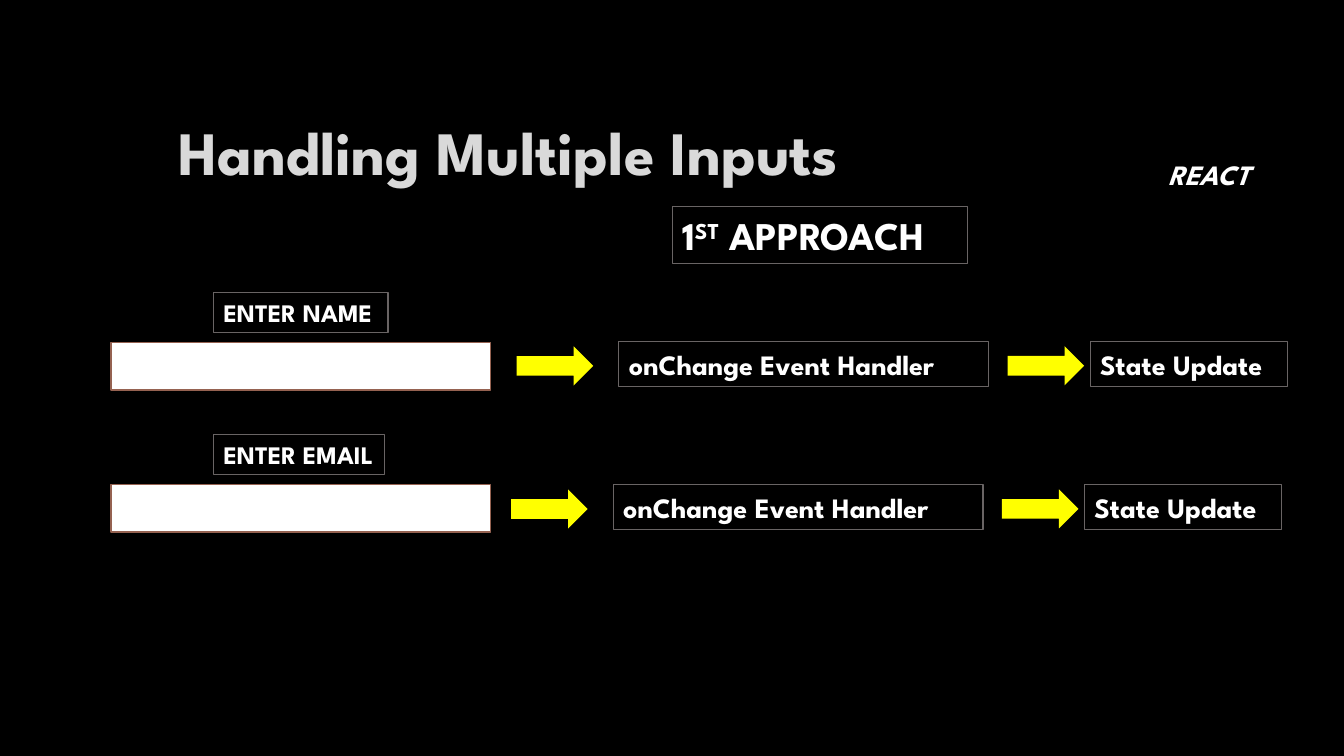
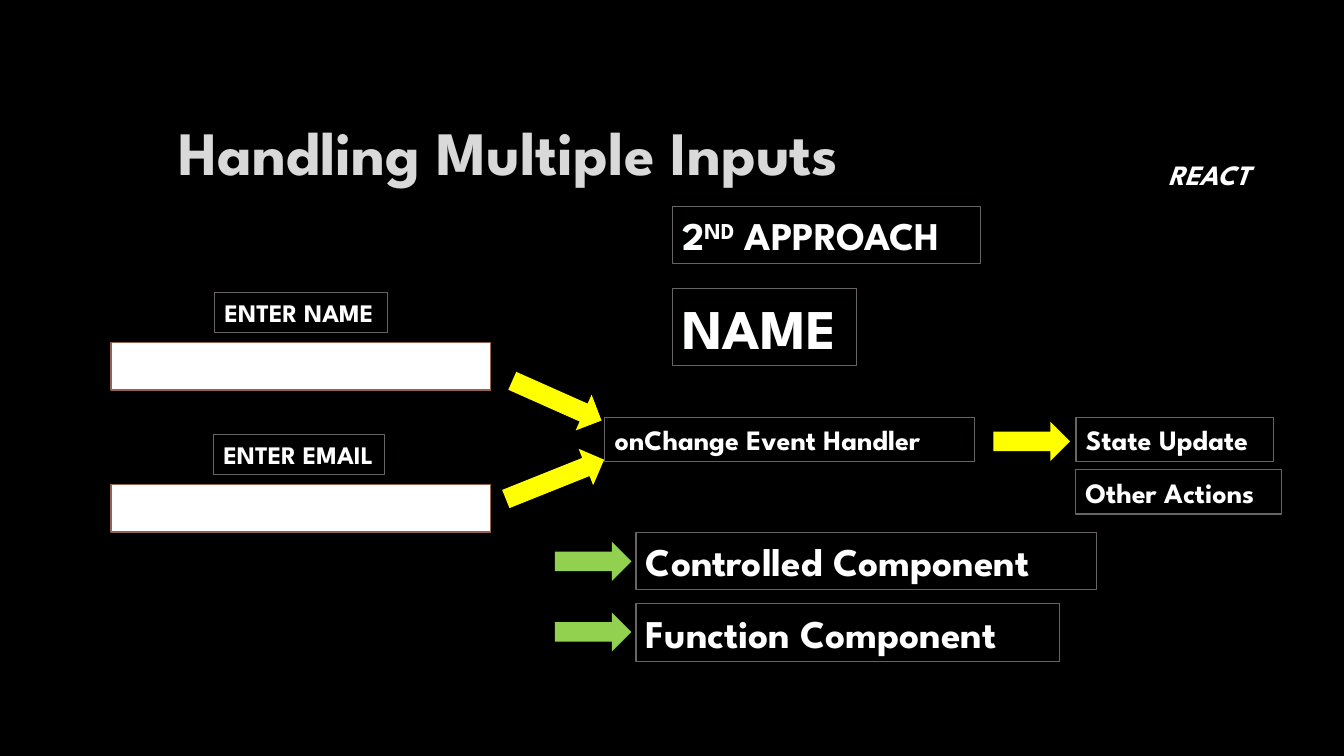
from dataclasses import dataclass

from pptx import Presentation
from pptx.dml.color import RGBColor
from pptx.enum.shapes import MSO_SHAPE
from pptx.enum.text import MSO_ANCHOR, MSO_AUTO_SIZE, PP_ALIGN
from pptx.oxml.ns import qn
from pptx.util import Pt

WHITE, BLACK, GREY = "FFFFFF", "000000", "D9D9D9"
YELLOW, GREEN = "FFFF00", "92D050"
EDGE, RIM = "696464", "956251"

FONT = {"name": "League Spartan", "bold": True}
FRAME = {"auto_size": MSO_AUTO_SIZE.NONE, "word_wrap": True}
HEIGHT = {18: 28.8, 20: 31.7, 28: 41, 40: 55.4}  # box height by text size
FIELDS = (244.8, 346.3)  # tops of the two input fields


@dataclass
class Tag:
    """An outlined label; a bar in the text marks off a superscript."""
    text: str
    left: float
    top: float
    width: float
    size: int = 20


@dataclass
class Arrow:
    """A block arrow, placed by its centre."""
    x: float
    y: float
    length: float = 54.7
    turn: float = 0
    color: str = YELLOW


@dataclass
class Chain:
    """Handler box, arrow and state box, placed by the handler's corner."""
    left: float
    top: float


@dataclass
class Page:
    chains: list[Chain]
    tags: list[Tag]
    arrows: list[Arrow]


def paint(fmt, color: str) -> None:
    """Colour a fill or a font."""
    if hasattr(fmt, "solid"):
        fmt.solid()
        fmt.fore_color.rgb = RGBColor.from_string(color)
    else:
        fmt.color.rgb = RGBColor.from_string(color)


def apply(item, values: dict) -> None:
    for key, value in values.items():
        setattr(item, key, value)


def write(shape, text: str, size: int, color: str = WHITE,
          anchor=MSO_ANCHOR.MIDDLE, **extra) -> None:
    frame = shape.text_frame
    apply(frame, FRAME | {"vertical_anchor": anchor, "margin_right": 0})
    line = frame.paragraphs[0]
    line.alignment = PP_ALIGN.LEFT
    for part in text.split("|"):
        run = line.add_run()
        run.text = part
        apply(run.font, FONT | {"size": Pt(size)} | extra)
        paint(run.font, color)
    # The middle of three parts is raised
    marks = list(shape.element.iter(qn("a:rPr")))
    if len(marks) == 3:
        marks[1].set("baseline", "30000")


def block(slide, kind, left: float, top: float, width: float, height: float,
          fill: str = "", line: str = "", weight: float = 0.75):
    shape = slide.shapes.add_shape(kind, Pt(left), Pt(top), Pt(width), Pt(height))
    shape.shadow.inherit = False
    for fmt, color in ((shape.fill, fill), (shape.line.fill, line)):
        if color:
            paint(fmt, color)
        else:
            fmt.background()
    if line:
        shape.line.width = Pt(weight)
    return shape


def draw_tag(slide, tag: Tag) -> None:
    box = block(slide, MSO_SHAPE.RECTANGLE, tag.left, tag.top, tag.width,
                HEIGHT[tag.size], line=EDGE)
    write(box, tag.text, tag.size)


def draw_arrow(slide, arrow: Arrow) -> None:
    thick = 28
    shape = block(slide, MSO_SHAPE.RIGHT_ARROW, arrow.x - arrow.length / 2,
                  arrow.y - thick / 2, arrow.length, thick, fill=arrow.color)
    shape.rotation = arrow.turn


def draw_chain(slide, chain: Chain) -> None:
    left, top = chain.left, chain.top
    draw_tag(slide, Tag("onChange Event Handler", left, top, 264.2))
    draw_arrow(slide, Arrow(left + 305, top + 17.2))
    draw_tag(slide, Tag("State Update", left + 336.6, top, 141.1))


def draw_page(slide, page: Page) -> None:
    title = slide.shapes.title
    write(title, "Handling Multiple Inputs", 44, GREY, MSO_ANCHOR.BOTTOM)
    title.text_frame.paragraphs[0].line_spacing = 0.9
    for top in FIELDS:
        block(slide, MSO_SHAPE.RECTANGLE, 79.2, top, 271.4, 33.8, WHITE, RIM, 1)
    for chain in page.chains:
        draw_chain(slide, chain)
    for tag in page.tags:
        draw_tag(slide, tag)
    for arrow in page.arrows:
        draw_arrow(slide, arrow)


EMAIL = Tag("ENTER EMAIL", 152.6, 310.3, 122.4, 18)

PAGES = [
    Page(
        chains=[Chain(442.1, 244.1), Chain(438, 346.3)],
        tags=[
            Tag("ENTER NAME", 152.6, 208.8, 124.6, 18),
            EMAIL,
            Tag("1|ST| APPROACH", 480.2, 147.6, 211, 28),
        ],
        arrows=[Arrow(396.4, 261.4), Arrow(392.4, 363.6)],
    ),
    Page(
        chains=[Chain(432, 298.1)],
        tags=[
            Tag("ENTER NAME", 153.4, 208.8, 123.1, 18),
            EMAIL,
            Tag("2|ND| APPROACH", 480.2, 147.6, 220.3, 28),
            Tag("NAME", 480.2, 205.9, 131.8, 40),
            Tag("Other Actions", 768.2, 335.5, 146.9),
            Tag("Controlled Component", 454.3, 380.2, 329, 28),
            Tag("Function Component", 454.3, 431.3, 302.4, 28),
        ],
        arrows=[
            Arrow(397.8, 286.2, 69.8, 24),
            Arrow(396.4, 342.4, 75.6, -21.8),
            Arrow(423.7, 401, color=GREEN),
            Arrow(423.7, 451.4, color=GREEN),
        ],
    ),
]


def main() -> None:
    prs = Presentation()
    apply(prs, {"slide_width": Pt(960), "slide_height": Pt(540)})

    # Shared background and title place
    paint(prs.slide_master.background.fill, BLACK)
    layout = prs.slide_layouts[5]
    spot = {"left": 120.2, "top": 30.2, "width": 720, "height": 108}
    apply(layout.placeholders[0], {key: Pt(val) for key, val in spot.items()})

    slides = [prs.slides.add_slide(layout) for _ in PAGES]

    # Topic label, moved to the layout so that every slide shows it
    topic = slides[0].shapes.add_textbox(Pt(827.3), Pt(108.7), Pt(75.6), Pt(31.7))
    write(topic, "REACT", 20, italic=True)
    layout.shapes.element.append(topic.element)

    for slide, page in zip(slides, PAGES):
        draw_page(slide, page)
    prs.save("out.pptx")


if __name__ == "__main__":
    main()
